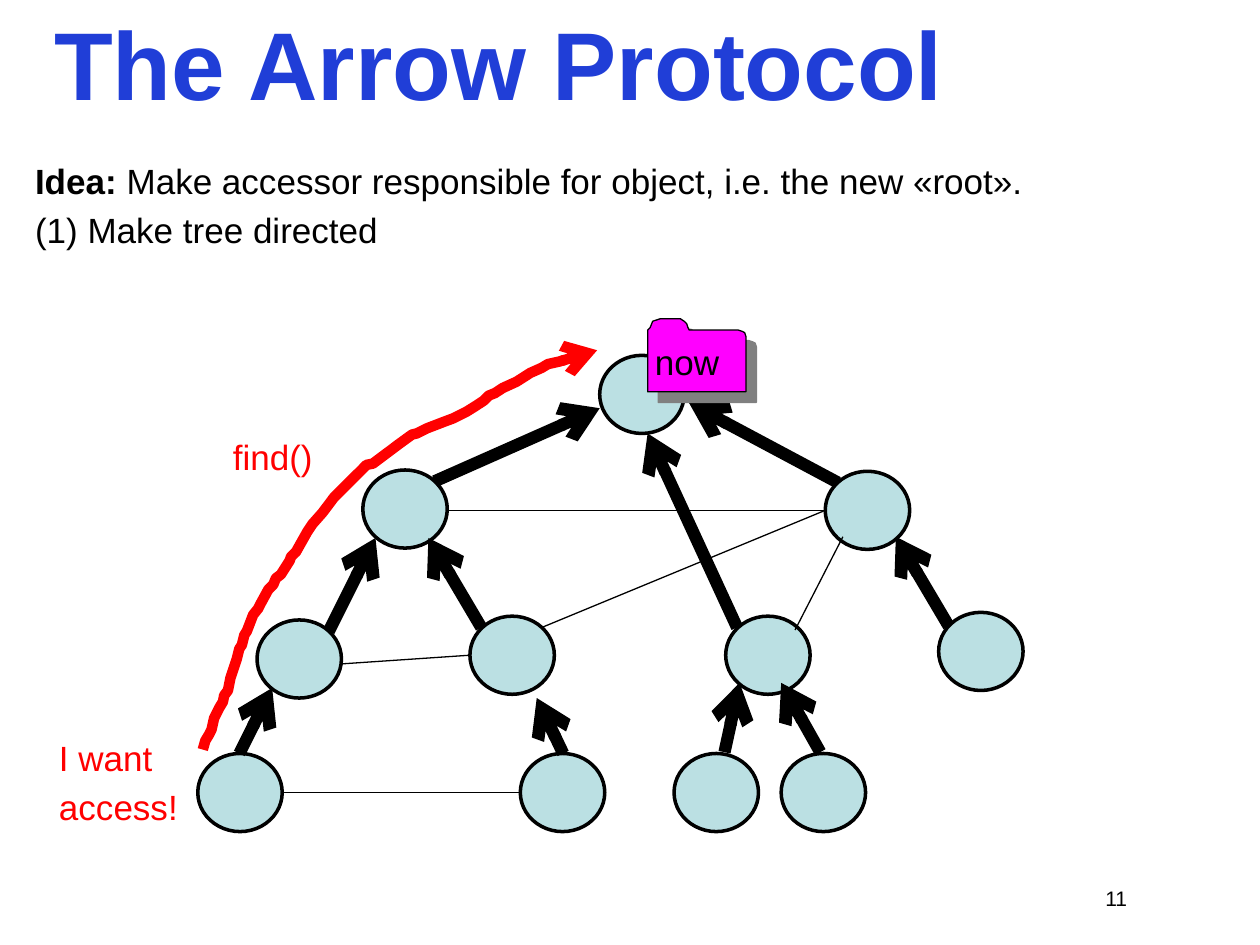
from lxml import etree
from pptx import Presentation
from pptx.dml.color import RGBColor
from pptx.enum.shapes import MSO_CONNECTOR, MSO_SHAPE
from pptx.enum.text import MSO_ANCHOR, MSO_AUTO_SIZE, PP_ALIGN
from pptx.oxml.ns import qn
from pptx.util import Inches, Pt

STRAIGHT, OVAL = MSO_CONNECTOR.STRAIGHT, MSO_SHAPE.OVAL
MIDDLE, TOP = MSO_ANCHOR.MIDDLE, MSO_ANCHOR.TOP
LEFT, CENTER = PP_ALIGN.LEFT, PP_ALIGN.CENTER
NO_AUTOFIT = MSO_AUTO_SIZE.NONE
BLUE = RGBColor(0x20, 0x3E, 0xD7)
BLACK = RGBColor(0, 0, 0)
RED = RGBColor(0xFF, 0, 0)
MAGENTA = RGBColor(0xFF, 0, 0xFF)
NODE_FILL = RGBColor(0xBB, 0xE0, 0xE3)
FONT = "Arial"

deck = Presentation()
deck.slide_width, deck.slide_height = Inches(10), Inches(7.5)
page = deck.slides.add_slide(deck.slide_layouts[5])


def style_line(line, color, width, arrow=False):
    line.color.rgb = color
    line.width = Pt(width)
    if arrow:
        etree.SubElement(line._get_or_add_ln(), qn("a:tailEnd"), type="arrow")


def add_text(place, paragraphs, color=BLACK, size=20, align=LEFT, anchor=MIDDLE, before=4):
    box = page.shapes.add_textbox(*(Inches(v) for v in place))
    frame = box.text_frame
    frame.word_wrap = True
    frame.vertical_anchor = anchor
    for index, spans in enumerate(paragraphs):
        para = frame.paragraphs[0] if index == 0 else frame.add_paragraph()
        para.alignment = align
        para.space_before = Pt(before)
        para.font.name, para.font.size = FONT, Pt(size)
        para.font.color.rgb = color
        for text, bold in spans:
            span = para.add_run()
            span.text = text
            if bold:
                span.font.bold = True


title = page.shapes.title
title.left, title.top, title.width, title.height = (Inches(v) for v in (0.33, 0.22, 9, 0.54))
title.text_frame.text = "The Arrow Protocol"
title.text_frame.vertical_anchor = MIDDLE
title.text_frame.auto_size = NO_AUTOFIT
heading = title.text_frame.paragraphs[0]
heading.alignment = LEFT
heading.font.name, heading.font.size, heading.font.bold = FONT, Pt(55), True
heading.font.color.rgb = BLUE

add_text((0.18, 1, 9.57, 1.25), [
    [("Idea: ", True), ("Make accessor responsible for object, i.e. the new «root».", False)],
    [("(1) Make tree directed", False)],
])

nodes = [
    (4.76, 2.82),
    (2.88, 3.73), (6.55, 3.74),
    (2.04, 4.92), (3.73, 4.89), (5.76, 4.89), (7.45, 4.86),
    (1.57, 5.98), (4.13, 5.98), (5.35, 5.98), (6.2, 5.98),
]
for left, top in nodes:
    node = page.shapes.add_shape(OVAL, Inches(left), Inches(top), Inches(0.67), Inches(0.62))
    node.shadow.inherit = False
    node.fill.solid()
    node.fill.fore_color.rgb = NODE_FILL
    style_line(node.line, BLACK, 2)

tree_arrows = [
    (6.65, 3.83, 5.47, 3.2), (3.45, 3.82, 4.76, 3.24), (5.85, 4.98, 5.14, 3.44),
    (3.82, 4.98, 3.4, 4.27), (2.61, 5.01, 2.98, 4.27), (7.53, 4.97, 7.11, 4.26),
    (1.9, 5.98, 2.16, 5.46), (4.47, 5.98, 4.26, 5.54),
    (6.51, 5.97, 6.2, 5.42), (5.75, 5.97, 5.87, 5.42),
]
cross_links = [
    (6.69, 4.26, 6.31, 5), (2.7, 5.27, 3.73, 5.2), (2.23, 6.29, 4.13, 6.29),
    (3.55, 4.05, 6.54, 4.05), (4.3, 4.98, 6.55, 4.05),
]
for edges, width, arrow in ((tree_arrows, 7, True), (cross_links, 0.75, False)):
    for ends in edges:
        edge = page.shapes.add_connector(STRAIGHT, *(Inches(v) for v in ends))
        style_line(edge.line, BLACK, width, arrow)
        etree.SubElement(edge._element.spPr, qn("a:effectLst"))

folder_points = [
    (5.14, 2.62), (5.16, 2.6), (5.18, 2.55), (5.21, 2.54), (5.24, 2.53), (5.4, 2.53),
    (5.43, 2.55), (5.45, 2.57), (5.46, 2.6), (5.47, 2.62), (5.86, 2.62),
    (5.89, 2.63), (5.91, 2.64), (5.92, 2.67), (5.92, 3.11), (5.14, 3.11),
]
find_points = [
    (1.61, 5.95), (1.63, 5.88), (1.66, 5.83), (1.68, 5.79), (1.7, 5.7), (1.74, 5.62),
    (1.77, 5.57), (1.78, 5.52), (1.81, 5.48), (1.83, 5.38), (1.86, 5.29), (1.88, 5.23),
    (1.9, 5.15), (1.92, 5.12), (1.94, 5.04), (1.96, 5.01), (2.01, 4.88), (2.05, 4.83),
    (2.07, 4.79), (2.13, 4.68), (2.17, 4.64), (2.19, 4.59), (2.23, 4.56), (2.3, 4.45),
    (2.31, 4.42), (2.35, 4.38), (2.44, 4.22), (2.48, 4.16), (2.56, 4.07), (2.62, 3.99),
    (2.65, 3.95), (2.78, 3.82), (2.87, 3.73), (2.91, 3.69), (2.96, 3.68), (3.12, 3.56),
    (3.16, 3.53), (3.27, 3.45), (3.31, 3.44), (3.39, 3.4), (3.52, 3.35), (3.6, 3.32),
    (3.64, 3.3), (3.7, 3.27), (3.78, 3.22), (3.84, 3.18), (3.88, 3.14), (3.93, 3.12),
    (3.99, 3.08), (4.1, 3.03), (4.21, 2.96), (4.3, 2.92), (4.35, 2.89), (4.44, 2.87),
    (4.54, 2.84), (4.65, 2.81), (4.74, 2.78),
]
outlines = []
for points, closed in ((folder_points, True), (find_points, False)):
    corners = [(Inches(x), Inches(y)) for x, y in points]
    builder = page.shapes.build_freeform(*corners[0])
    builder.add_line_segments(corners[1:], close=closed)
    outline = builder.convert_to_shape()
    outline.shadow.inherit = False
    outlines.append(outline)
folder, find_path = outlines

folder.fill.solid()
folder.fill.fore_color.rgb = MAGENTA
style_line(folder.line, BLACK, 0.75)
effects = folder._element.spPr.find(qn("a:effectLst"))
shadow = etree.SubElement(effects, qn("a:outerShdw"), dist=str(Pt(8.5)), dir="2700000",
                          algn="ctr", rotWithShape="0")
etree.SubElement(shadow, qn("a:srgbClr"), val="808080")

find_path.fill.background()
style_line(find_path.line, RED, 6, arrow=True)

add_text((5.1, 2.64, 0.8, 0.46), [[("now", False)]])
add_text((0.37, 5.98, 1.2, 0.46), [[("I want", False)], [("access!", False)]], RED)
add_text((1.75, 3.39, 0.95, 0.46), [[("find()", False)]], RED)
add_text((8.31, 6.98, 1.1, 0.31), [[("11", False)]], size=12, align=CENTER, anchor=TOP, before=0)

deck.save("out.pptx")
